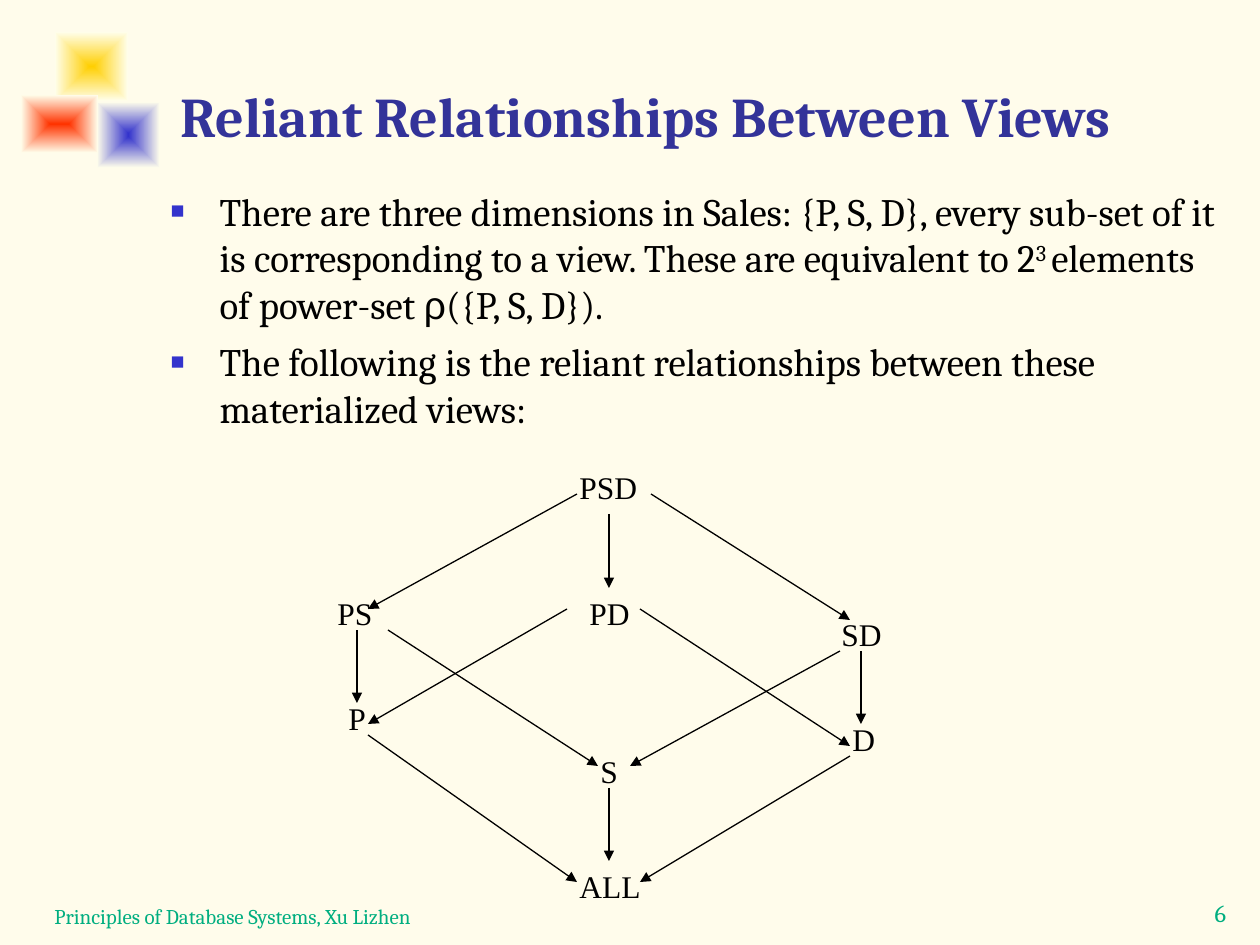
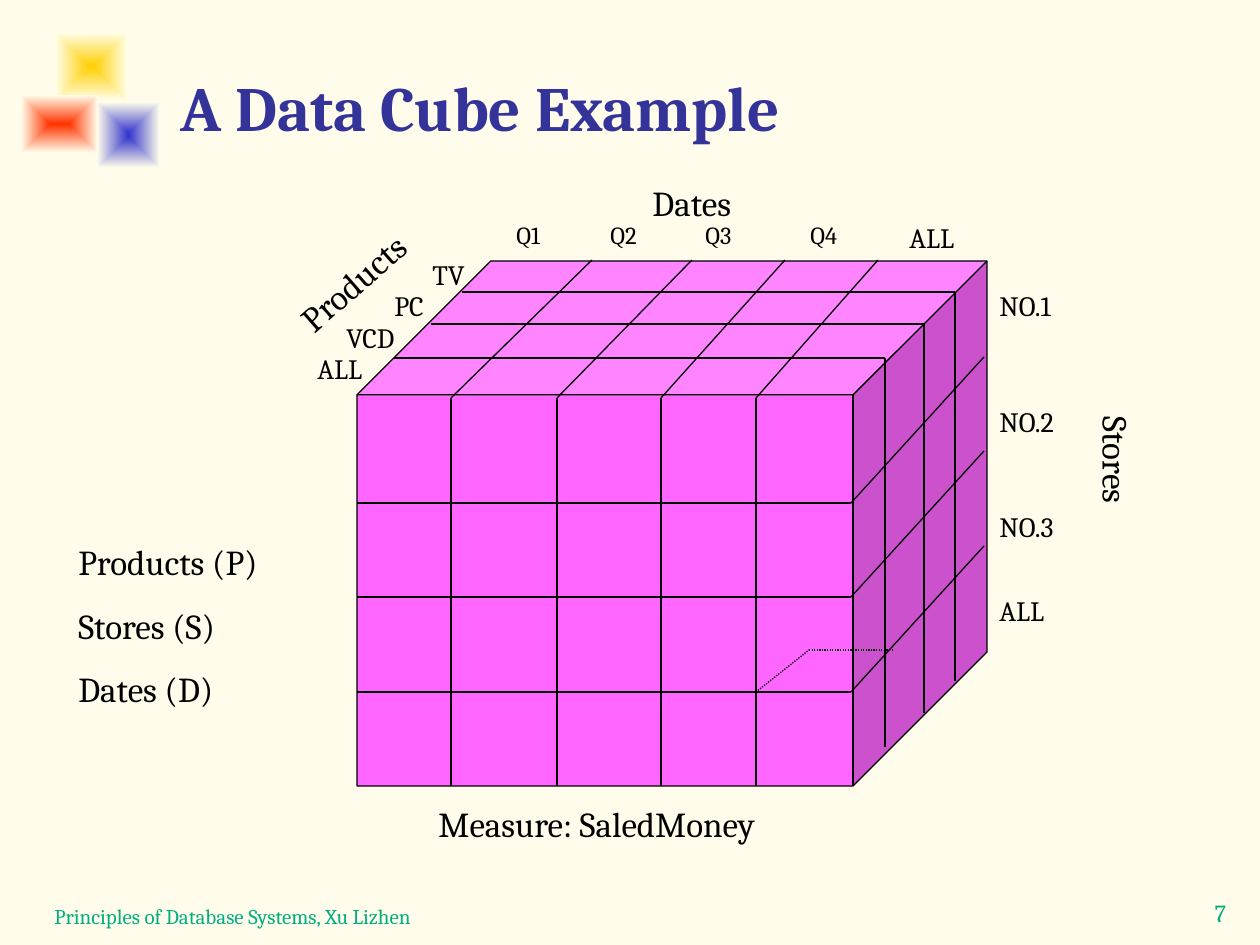
import lxml.etree
import pptx
import pptx.dml.color
import pptx.enum.dml
import pptx.enum.shapes
import pptx.enum.text
import pptx.oxml.ns
import pptx.util

RGB = pptx.dml.color.RGBColor
CREAM = RGB(0xFF, 0xFC, 0xEB)
FADE = RGB(0xFF, 0xFE, 0xEB)
GOLD = RGB(0xFF, 0xCF, 0x01)
BLUE = RGB(0x33, 0x33, 0xCC)
RED = RGB(0xFF, 0x33, 0x00)
NAVY = RGB(0x33, 0x33, 0x99)
GREEN = RGB(0x00, 0xAE, 0x80)
PINK = RGB(0xFF, 0x66, 0xFF)
BLACK = RGB(0, 0, 0)

SCALE = 914400 / 126
SERIF = "Cambria"
ROMAN = "Times New Roman"
ALIGN = pptx.enum.text.PP_ALIGN
ANCHOR = pptx.enum.text.MSO_ANCHOR
SHAPE = pptx.enum.shapes.MSO_SHAPE
FOOTER = "Principles of Database Systems, Xu Lizhen"

SQUARES = [
    (55, 32, 73, 69, GOLD),
    (97, 102, 63, 66, BLUE),
    (21, 95, 77, 58, RED),
]
POINTS = [
    [("There are three dimensions in Sales: {P, S, D}, every sub-set of it "
      "is corresponding to a view. These are equivalent to 2", SERIF, 0),
     ("3 ", SERIF, 30000),
     ("elements of power-set ", SERIF, 0),
     ("ρ", "Arial", 0),
     ("({P, S, D}).", SERIF, 0)],
    [("The following is the reliant relationships between these "
      "materialized views:", SERIF, 0)],
]
VIEWS = [
    ("PSD", 567, 462, 84), ("PD", 577, 588, 84), ("PS", 325, 588, 63),
    ("SD", 829, 609, 73), ("S", 588, 746, 63), ("ALL", 567, 861, 94),
    ("P", 336, 693, 63), ("D", 840, 714, 53),
]
ARROWS = [
    (577, 494, 368, 609), (651, 494, 850, 620), (609, 514, 609, 588),
    (388, 630, 598, 766), (840, 651, 630, 766), (357, 630, 357, 703),
    (861, 651, 861, 724), (567, 609, 368, 724), (640, 609, 850, 746),
    (368, 735, 577, 882), (850, 756, 640, 882), (609, 788, 609, 861),
]
DATES = [("Q1", 504, 64), ("Q2", 598, 63), ("Q3", 693, 67), ("Q4", 798, 74)]
MARKS = [
    ("TV", 420, 251, 94), ("PC", 382, 282, 73), ("VCD", 334, 314, 97),
    ("ALL", 305, 345, 84), ("ALL", 897, 214, 84), ("NO.1", 987, 282, 96),
    ("NO.2", 987, 398, 96), ("NO.3", 987, 503, 96), ("ALL", 987, 587, 84),
]


def px(*sizes):
    """Turn px lengths into EMU."""
    return [pptx.util.Emu(round(size * SCALE)) for size in sizes]


def tag(node, name, **attrs):
    """Append a drawing element to a node."""
    return lxml.etree.SubElement(node, pptx.oxml.ns.qn(name), attrs)


def place(shape, *spot):
    """Move and size a placeholder."""
    shape.left, shape.top, shape.width, shape.height = px(*spot)


def style(para, size, color=BLACK, font=SERIF, bold=False):
    """Format every run of a paragraph."""
    for run in para.runs:
        run.font.size = pptx.util.Pt(size)
        run.font.name = font
        run.font.bold = bold
        run.font.color.rgb = color


def note(slide, text, spot, size, color=BLACK, font=SERIF, gap=0):
    """Add a text box with one paragraph per line."""
    box = slide.shapes.add_textbox(*px(*spot))
    frame = box.text_frame
    frame.word_wrap = True
    frame.text = text
    for rank, para in enumerate(frame.paragraphs):
        para.space_before = pptx.util.Pt(gap if rank else 0)
        style(para, size, color, font)
    return box


def line(slide, *ends, arrow=False, dots=False):
    """Draw a thin black line between two points."""
    link = slide.shapes.add_connector(
        pptx.enum.shapes.MSO_CONNECTOR.STRAIGHT, *px(*ends))
    link.line.color.rgb = BLACK
    link.line.width = pptx.util.Pt(0.75)
    if dots:
        link.line.dash_style = pptx.enum.dml.MSO_LINE.ROUND_DOT
    if arrow:
        tag(link.line._get_or_add_ln(), "a:tailEnd", type="triangle")
    tag(link._element.spPr, "a:effectLst")


def square(slide, left, top, wide, high, color):
    """Draw a square that fades out from its centre."""
    shape = slide.shapes.add_shape(
        SHAPE.RECTANGLE, *px(left, top, wide, high))
    shape.shadow.inherit = False
    shape.line.fill.background()
    shape.fill.gradient()
    for stop, tint in zip(shape.fill.gradient_stops, (color, FADE)):
        stop.color.rgb = tint
    grad = shape._element.spPr.find(pptx.oxml.ns.qn("a:gradFill"))
    grad.remove(grad.find(pptx.oxml.ns.qn("a:lin")))
    way = tag(grad, "a:path", path="rect")
    tag(way, "a:fillToRect", l="50000", t="50000", r="50000", b="50000")


def start(deck, layout, title, size, high, number):
    """Add a slide with squares, title, footer and number."""
    slide = deck.slides.add_slide(deck.slide_layouts[layout])
    for item in SQUARES:
        square(slide, *item)
    head = slide.shapes.title
    place(head, 168, 20, 1070, high)
    frame = head.text_frame
    frame.text = title
    frame.vertical_anchor = ANCHOR.BOTTOM
    frame.auto_size = pptx.enum.text.MSO_AUTO_SIZE.NONE
    frame.paragraphs[0].alignment = ALIGN.LEFT
    style(frame.paragraphs[0], size, NAVY, bold=True)
    foot = note(slide, FOOTER, (42, 872, 819, 63), 12, GREEN)
    foot.text_frame.vertical_anchor = ANCHOR.BOTTOM
    page = note(slide, str(number), (1187, 892, 67, 48), 14, GREEN)
    page.text_frame.paragraphs[0].alignment = ALIGN.CENTER
    return slide


def bullets(slide, points):
    """Fill the body placeholder with bulleted points."""
    body = slide.placeholders[1]
    place(body, 158, 181, 1071, 291)
    frame = body.text_frame
    frame.auto_size = pptx.enum.text.MSO_AUTO_SIZE.NONE
    for rank, parts in enumerate(points):
        para = frame.add_paragraph() if rank else frame.paragraphs[0]
        para.space_before = pptx.util.Pt(6 if rank else 0)
        props = para._p.get_or_add_pPr()
        indent = px(49)[0]
        props.set("marL", str(indent))
        props.set("indent", str(-indent))
        tag(tag(props, "a:buClr"), "a:srgbClr", val=str(BLUE))
        tag(props, "a:buSzPct", val="60000")
        tag(props, "a:buChar", char="■")
        for text, font, base in parts:
            para.add_run().text = text
        style(para, 22.2)
        for run, (text, font, base) in zip(para.runs, parts):
            run.font.name = font
            if base:
                run.font._element.set("baseline", str(base))


def cube(slide):
    """Draw the data cube and its grid lines."""
    shape = slide.shapes.add_shape(SHAPE.CUBE, *px(357, 261, 630, 525))
    shape.adjustments[0] = 0.255
    shape.shadow.inherit = False
    shape.fill.solid()
    shape.fill.fore_color.rgb = PINK
    shape.line.color.rgb = BLACK
    shape.line.width = pptx.util.Pt(0.75)
    for front, back in ((451, 592), (557, 692), (661, 785), (756, 878)):
        line(slide, back, 260, front, 398)
        line(slide, front, 398, front, 786)
    for row in (503, 597, 692):
        line(slide, 357, row, 851, row)
        line(slide, 851, row, 984, row - 146)
    for left, right, top in ((394, 885, 358), (431, 924, 324),
                             (462, 955, 292)):
        line(slide, left, top, right, top)
        line(slide, right, top, right, top + 389)
    line(slide, 756, 692, 809, 650, dots=True)
    line(slide, 809, 650, 892, 650, dots=True)


def labels(slide):
    """Write the names around the cube."""
    for text, left, wide in DATES:
        note(slide, text, (left, 214, wide, 43), 14)
    for text, left, top, wide in MARKS:
        note(slide, text, (left, top, wide, 47), 16)
    note(slide, "Dates", (640, 175, 120, 55), 20)
    note(slide, "Products", (289, 244, 168, 97), 20).rotation = 318.8
    frame = note(slide, "Stores", (1076, 404, 63, 117), 20).text_frame
    frame.margin_left, frame.margin_right = px(6, 6)
    frame.margin_top, frame.margin_bottom = px(13, 13)
    frame.paragraphs[0].line_spacing = 0.9
    frame._txBody.bodyPr.set("vert", "eaVert")
    note(slide, "Products (P)\nStores (S)\nDates (D)",
         (66, 534, 217, 224), 20, gap=12.5)
    note(slide, "Measure: SaledMoney", (426, 796, 384, 97), 20)


def main():
    """Build both slides and save them."""
    deck = pptx.Presentation()
    deck.slide_width, deck.slide_height = px(1260, 945)
    fill = deck.slide_master.background.fill
    fill.solid()
    fill.fore_color.rgb = CREAM

    slide = start(deck, 1, "Reliant Relationships Between Views", 32, 135, 6)
    bullets(slide, POINTS)
    for text, left, top, wide in VIEWS:
        note(slide, text, (left, top, wide, 50), 18, font=ROMAN)
    for ends in ARROWS:
        line(slide, *ends, arrow=True)

    slide = start(deck, 5, "A Data Cube Example", 36, 130, 7)
    cube(slide)
    labels(slide)
    deck.save("out.pptx")


if __name__ == "__main__":
    main()
